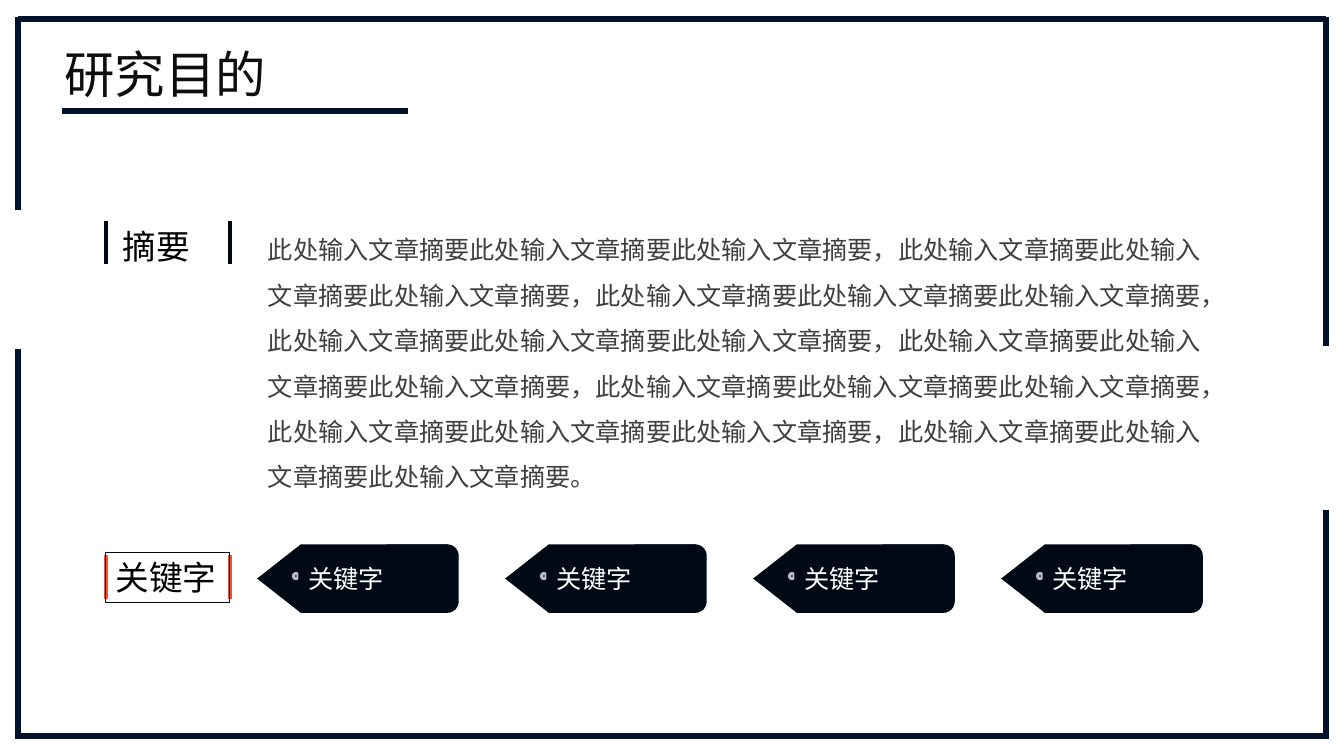
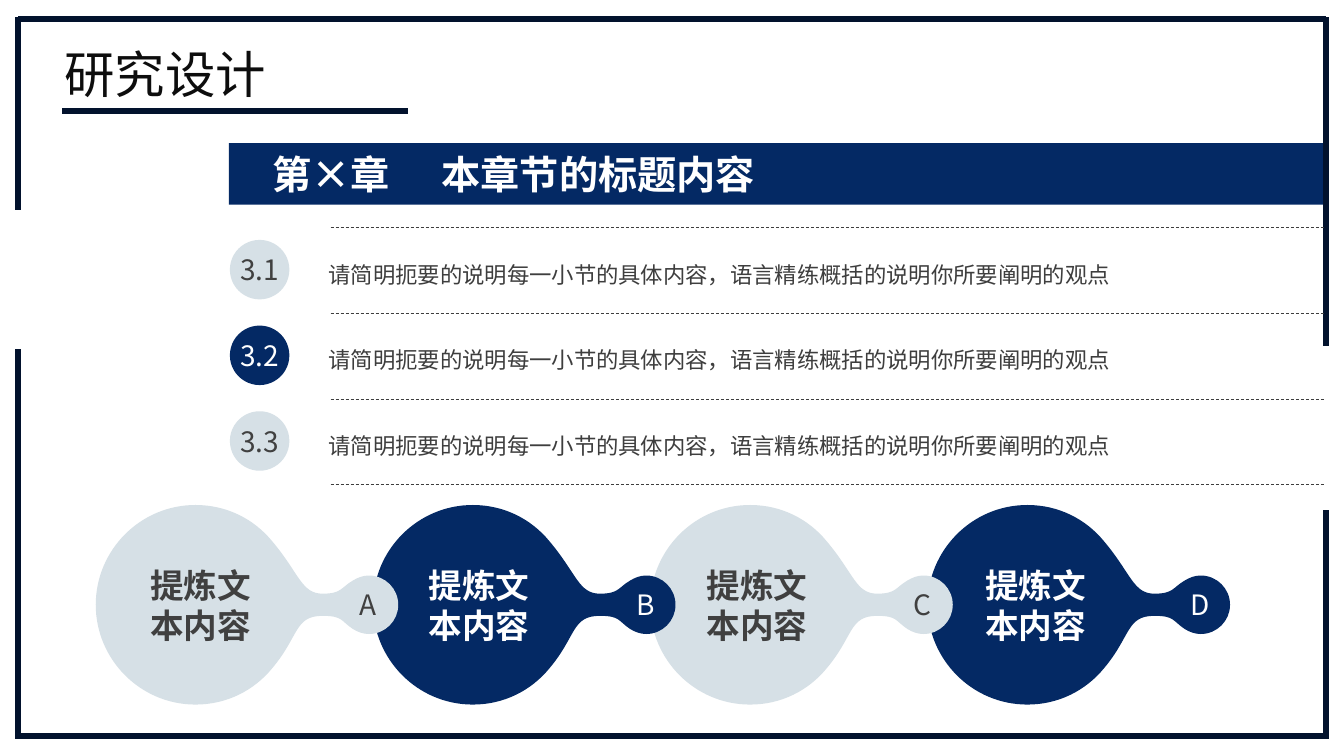
"""Build two thesis slides: research purpose and research design."""
from lxml import etree
from pptx import Presentation
from pptx.dml.color import RGBColor
from pptx.enum.dml import MSO_LINE
from pptx.enum.shapes import MSO_CONNECTOR, MSO_SHAPE
from pptx.enum.text import MSO_ANCHOR, MSO_AUTO_SIZE, PP_ALIGN
from pptx.oxml.ns import qn
from pptx.util import Inches, Pt

FONT = "Noto Sans CJK SC"
FRAME, INK, NAVY, PALE = "02122D", "010916", "042964", "D6E0E6"
WHITE, BLACK, GREY, RED = "FFFFFF", "000000", "404040", "E5553A"
TOP, MIDDLE = MSO_ANCHOR.TOP, MSO_ANCHOR.MIDDLE
LEFT, CENTER, JUSTIFY = PP_ALIGN.LEFT, PP_ALIGN.CENTER, PP_ALIGN.JUSTIFY
DEFAULT_INSETS = (0.1, 0.05, 0.1, 0.05)
NO_INSETS = (0, 0, 0, 0)
rgb = RGBColor.from_string


def draw_line(page, start, end, color, width, dash=None):
    line = page.shapes.add_connector(MSO_CONNECTOR.STRAIGHT, *map(Inches, start + end))
    line.line.color.rgb = rgb(color)
    line.line.width = Pt(width)
    line.line.dash_style = dash
    etree.SubElement(line.element.spPr, qn("a:effectLst"))
    return line


def write(box, texts, size, color, align=LEFT, anchor=TOP, insets=DEFAULT_INSETS,
          bold=False, spacing=None):
    frame = box.text_frame
    left, top, right, bottom = map(Inches, insets)
    frame_format = {
        "word_wrap": True, "auto_size": MSO_AUTO_SIZE.NONE, "vertical_anchor": anchor,
        "margin_left": left, "margin_top": top,
        "margin_right": right, "margin_bottom": bottom,
    }
    for name, value in frame_format.items():
        setattr(frame, name, value)
    for index, text in enumerate(texts):
        para = frame.add_paragraph() if index else frame.paragraphs[0]
        para.alignment = align
        para.line_spacing = spacing
        span = para.add_run()
        span.text = text
        for name, value in {"name": FONT, "size": Pt(size), "bold": bold}.items():
            setattr(span.font, name, value)
        span.font.color.rgb = rgb(color)
        etree.SubElement(span._r.get_or_add_rPr(), qn("a:ea"), typeface=FONT)


deck = Presentation()
deck.slide_width, deck.slide_height = Inches(13.33), Inches(7.5)
layout = deck.slide_layouts[5]
purpose, design = [deck.slides.add_slide(layout) for _ in range(2)]

frame_lines = [
    ((0.18, 0.19), (13.15, 0.19)),
    ((0.18, 0.17), (0.18, 2.08)),
    ((13.15, 0.17), (13.15, 3.43)),
    ((13.16, 7.3), (0.18, 7.3)),
    ((13.15, 7.33), (13.15, 5.06)),
    ((0.18, 7.33), (0.18, 3.46)),
]
for start, end in frame_lines:
    layout.shapes.element.append(draw_line(purpose, start, end, FRAME, 4.5).element)

title_place = {"left": 0.64, "top": 0.42, "width": 3.03, "height": 0.62}
for page, text in ((purpose, "研究目的"), (design, "研究设计")):
    title = page.shapes.title
    for name, value in title_place.items():
        setattr(title, name, Inches(value))
    write(title, [text], 36, "0D0D0D", JUSTIFY, MIDDLE, NO_INSETS)
    draw_line(page, (0.62, 1.1), (4.05, 1.1), FRAME, 4.5)

for top, bar_color in ((2.19, INK), (5.51, RED)):
    for x in (1.05, 2.28):
        draw_line(purpose, (x, top), (x, top + 0.43), bar_color, 3)

label = purpose.shapes.add_textbox(*map(Inches, (1.12, 2.19, 1.09, 0.5)))
write(label, ["摘要"], 24, BLACK, JUSTIFY)
label = purpose.shapes.add_shape(MSO_SHAPE.RECTANGLE, *map(Inches, (1.05, 5.48, 1.23, 0.5)))
label.shadow.inherit = False
label.fill.background()
label.line.color.rgb = rgb(INK)
label.line.width = Pt(0.75)
write(label, ["关键字"], 24, BLACK, JUSTIFY)

sentence = "此处输入文章摘要" * 3
abstract = purpose.shapes.add_textbox(*map(Inches, (2.56, 2.13, 9.66, 2.78)))
write(abstract, [(sentence + "，") * 6, sentence + "，" + sentence + "。"], 18, GREY, spacing=1.5)

tag_parts = [
    (MSO_SHAPE.PENTAGON, 0, 5.4, 1.89, 0.68),
    (MSO_SHAPE.ROUNDED_RECTANGLE, 1.2, 5.4, 0.8, 0.68),
    (MSO_SHAPE.OVAL, 0.36, 5.69, 0.05, 0.05),
    (MSO_SHAPE.RECTANGLE, 0.41, 5.54, 1.38, 0.4),
]
for column in range(4):
    for kind, offset, top, width, height in tag_parts:
        place = (2.55 + 2.46 * column + offset, top, width, height)
        part = purpose.shapes.add_shape(kind, *map(Inches, place))
        part.shadow.inherit = False
        part.fill.solid()
        part.fill.fore_color.rgb = rgb(INK)
        part.line.fill.background()
        if kind == MSO_SHAPE.PENTAGON:
            part.adjustments[0] = 0.637
            part.element.spPr.xfrm.set("flipH", "1")
        elif kind == MSO_SHAPE.OVAL:
            part.line.color.rgb = rgb("B8BCC1")
            part.line.width = Pt(2.25)
        elif kind == MSO_SHAPE.RECTANGLE:
            write(part, ["关键字"], 18, WHITE, JUSTIFY)

band = design.shapes.add_shape(MSO_SHAPE.RECTANGLE, *map(Inches, (2.27, 1.42, 10.85, 0.61)))
band.shadow.inherit = False
band.fill.solid()
band.fill.fore_color.rgb = rgb(NAVY)
band.line.fill.background()
write(band, ["第×章"], 28, WHITE, anchor=MIDDLE, insets=(0.43, 0, 0, 0), bold=True)
chapter = design.shapes.add_textbox(*map(Inches, (4.22, 1.42, 4.48, 0.61)))
write(chapter, ["本章节的标题内容"], 28, WHITE, JUSTIFY, MIDDLE, (0.16, 0, 0, 0), True)

row_step = 0.85
for row in range(4):
    y = 2.26 + row_step * row
    draw_line(design, (3.28, y), (13.13, y), "3E3E3E", 0.5, MSO_LINE.DASH)

schemes = [(PALE, GREY), (NAVY, WHITE)]
badges = []
for row, number in enumerate(("3.1", "3.2", "3.3")):
    shift = row_step * row
    point = design.shapes.add_textbox(*map(Inches, (3.16, 2.5 + shift, 8.16, 0.39)))
    write(point, ["请简明扼要的说明每一小节的具体内容，语言精练概括的说明你所要阐明的观点"],
          16, "3E3E3E", spacing=Pt(22))
    badges.append((number, 2.28, 2.38 + shift, 0.59, schemes[row % 2]))

drop_start = (2.71, 0.7)
drop_curves = [
    ((2.65, 0.7), (2.6, 0.72), (2.55, 0.75)),
    ((2.43, 0.82), (2.44, 0.88), (2.25, 0.88)),
    ((2.04, 0.88), (2.02, 0.68), (1.75, 0.36)),
    ((1.57, 0.14), (1.3, 0), (0.99, 0)),
    ((0.44, 0), (0, 0.45), (0, 0.99)),
    ((0, 1.53), (0.44, 1.98), (0.99, 1.98)),
    ((1.3, 1.98), (1.57, 1.84), (1.75, 1.62)),
    ((2.02, 1.3), (1.97, 1.1), (2.25, 1.1)),
    ((2.45, 1.1), (2.43, 1.15), (2.55, 1.23)),
    ((2.6, 1.26), (2.65, 1.28), (2.71, 1.28)),
    ((2.87, 1.28), (3, 1.15), (3, 0.99)),
    ((3, 0.83), (2.87, 0.7), (2.71, 0.7)),
]
outline = [drop_start] + [point for curve in drop_curves for point in curve]

for column, letter in reversed(list(enumerate("ABCD"))):
    left = 0.95 + 2.75 * column
    scheme = schemes[column % 2]
    points = [(Inches(left + x), Inches(5.01 + y)) for x, y in outline]
    builder = design.shapes.build_freeform(*points[0])
    builder.add_line_segments(points[1:], close=True)
    drop = builder.convert_to_shape()
    segments = list(drop.element.iter(qn("a:lnTo")))
    for curve, *rest in zip(segments[::3], segments[1::3], segments[2::3]):
        curve.tag = qn("a:cubicBezTo")
        for segment in rest:
            curve.append(segment[0])
            segment.getparent().remove(segment)
    drop.shadow.inherit = False
    drop.fill.solid()
    drop.fill.fore_color.rgb = rgb(scheme[0])
    drop.line.fill.background()
    badges.append((letter, left + 2.47, 5.77, 0.46, scheme))

for text, left, top, size, (fill, color) in badges:
    badge = design.shapes.add_shape(MSO_SHAPE.OVAL, *map(Inches, (left, top, size, size)))
    badge.shadow.inherit = False
    badge.fill.solid()
    badge.fill.fore_color.rgb = rgb(fill)
    badge.line.fill.background()
    write(badge, [text], 20, color, CENTER, MIDDLE, NO_INSETS)

for column in range(4):
    caption = design.shapes.add_textbox(*map(Inches, (1.36 + 2.76 * column, 5.6, 1.26, 0.81)))
    write(caption, ["提炼文本内容"], 24, schemes[column % 2][1], CENTER, TOP, NO_INSETS, True)

deck.save("out.pptx")
